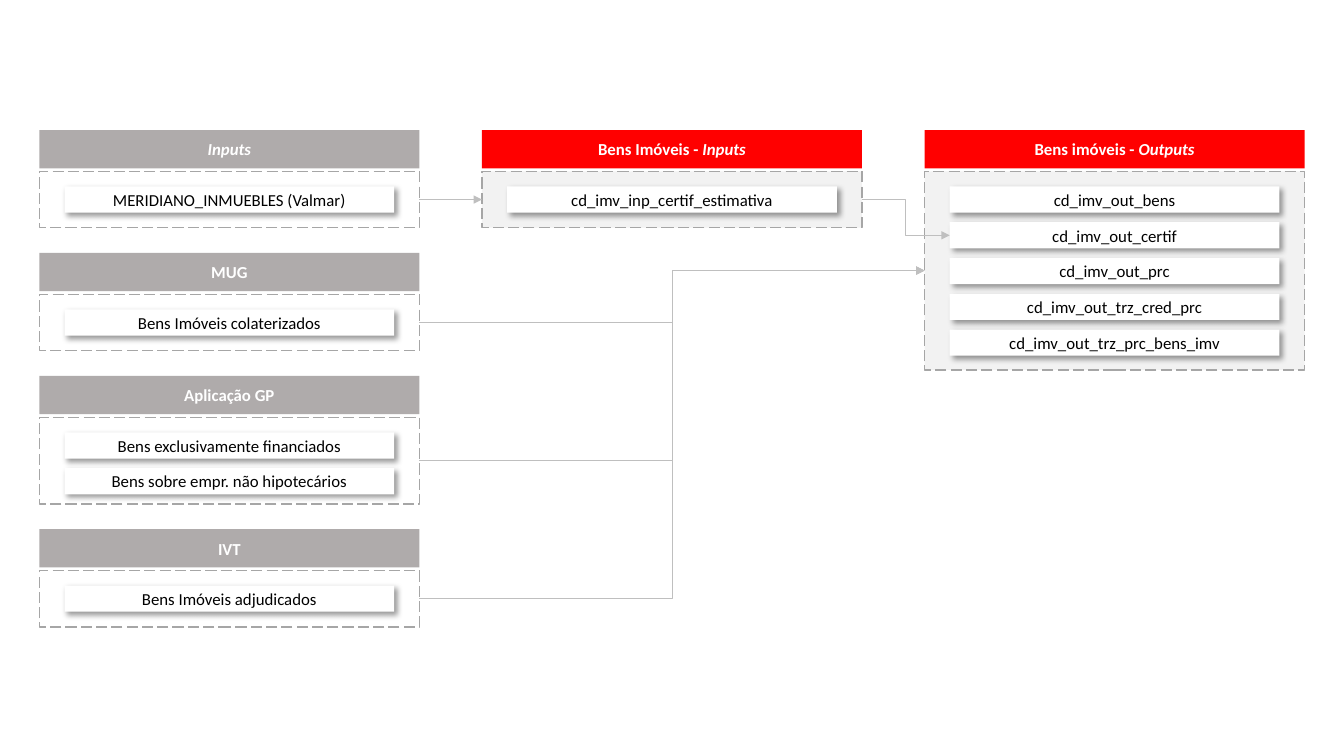
"""Build a one-slide data-flow diagram of real-estate inputs and outputs."""
from dataclasses import dataclass

from lxml import etree
from pptx import Presentation
from pptx.dml.color import RGBColor
from pptx.enum.dml import MSO_LINE
from pptx.enum.shapes import MSO_CONNECTOR, MSO_SHAPE
from pptx.enum.text import MSO_ANCHOR, PP_ALIGN
from pptx.oxml.ns import qn
from pptx.util import Inches, Pt

RECTANGLE = MSO_SHAPE.RECTANGLE
STRAIGHT, ELBOW = MSO_CONNECTOR.STRAIGHT, MSO_CONNECTOR.ELBOW
LONG_DASH = MSO_LINE.LONG_DASH
MIDDLE, CENTER = MSO_ANCHOR.MIDDLE, PP_ALIGN.CENTER
LEFT_SIDE, RIGHT_SIDE = 1, 3


@dataclass(frozen=True)
class Theme:
    font: str = "Calibri"
    size: float = 12
    white: str = "FFFFFF"
    black: str = "000000"
    gray: str = "AFABAB"
    red: str = "FF0000"
    pale: str = "F2F2F2"
    dash: str = "A6A6A6"
    arrow: str = "BFBFBF"
    dash_width: float = 1
    arrow_width: float = 0.5


THEME = Theme()

# Each block: key, title runs as (text, italic), panel height, rows.
COLUMNS = [
    (THEME.gray, THEME.white, [
        ("inputs", [("Inputs", True)], 0.56, ["MERIDIANO_INMUEBLES (Valmar)"]),
        ("mug", [("MUG", False)], 0.56, ["Bens Imóveis colaterizados"]),
        ("gp", [("Aplicação GP", False)], 0.86,
         ["Bens exclusivamente financiados", "Bens sobre empr. não hipotecários"]),
        ("ivt", [("IVT", False)], 0.56, ["Bens Imóveis adjudicados"]),
    ]),
    (THEME.red, THEME.pale, [
        ("estimate", [("Bens Imóveis - ", False), ("Inputs", True)], 0.56,
         ["cd_imv_inp_certif_estimativa"]),
    ]),
    (THEME.red, THEME.pale, [
        ("outputs", [("Bens imóveis - ", False), ("Outputs", True)], 1.97,
         ["cd_imv_out_bens", "cd_imv_out_certif", "cd_imv_out_prc",
          "cd_imv_out_trz_cred_prc", "cd_imv_out_trz_prc_bens_imv"]),
    ]),
]
FLOWS = [
    (STRAIGHT, "inputs", "estimate"),
    (ELBOW, "mug", "outputs"),
    (ELBOW, "gp", "outputs"),
    (ELBOW, "ivt", "outputs"),
    (ELBOW, "estimate", "cd_imv_out_certif"),
]

SLIDE_WIDTH, SLIDE_HEIGHT = 13.33, 7.5
MARGIN, TOP = 0.39, 1.29
COLUMN_PITCH, COLUMN_WIDTH = 4.39, 3.77
HEADER_HEIGHT, PANEL_OFFSET, BLOCK_GAP = 0.38, 0.41, 0.25
ROW_INDENT, ROW_OFFSET, ROW_PITCH, ROW_HEIGHT = 0.25, 0.15, 0.355, 0.26


def add_box(slide, left, top, width, height, fill, runs=(), color=THEME.black, bold=False):
    """Add a flat rectangle with centred text runs."""
    shape = slide.shapes.add_shape(
        RECTANGLE, *(Inches(length) for length in (left, top, width, height)))
    shape.fill.solid()
    shape.fill.fore_color.rgb = RGBColor.from_string(fill)
    shape.line.fill.background()
    shape.shadow.inherit = False
    shape.text_frame.vertical_anchor = MIDDLE
    paragraph = shape.text_frame.paragraphs[0]
    paragraph.alignment = CENTER
    for text, italic in runs:
        run = paragraph.add_run()
        run.text = text
        font = run.font
        font.name, font.size = THEME.font, Pt(THEME.size)
        font.bold, font.italic = bold, italic
        font.color.rgb = RGBColor.from_string(color)
    return shape


def set_line(shape, color, width):
    """Give a shape or connector a solid line."""
    shape.line.color.rgb = RGBColor.from_string(color)
    shape.line.width = Pt(width)


def add_shadow(shape):
    """Cast a soft shadow to the lower right."""
    effects = shape._element.spPr.find(qn("a:effectLst"))
    shadow = etree.SubElement(effects, qn("a:outerShdw"), blurRad=str(Pt(4)),
                              dist=str(Pt(3)), dir="2700000", algn="tl", rotWithShape="0")
    color = etree.SubElement(shadow, qn("a:srgbClr"), val=THEME.black)
    etree.SubElement(color, qn("a:alpha"), val="40000")


def add_block(slide, left, top, header_fill, panel_fill, block, anchors):
    """Draw a header, its dashed panel and rows; return the panel's bottom."""
    key, title, panel_height, rows = block
    panel_top = top + PANEL_OFFSET
    panel = add_box(slide, left, panel_top, COLUMN_WIDTH, panel_height, panel_fill)
    set_line(panel, THEME.dash, THEME.dash_width)
    panel.line.dash_style = LONG_DASH
    anchors[key] = panel
    add_box(slide, left, top, COLUMN_WIDTH, HEADER_HEIGHT, header_fill,
            title, THEME.white, bold=True)
    for index, text in enumerate(rows):
        row = add_box(slide, left + ROW_INDENT, panel_top + ROW_OFFSET + index * ROW_PITCH,
                      COLUMN_WIDTH - 2 * ROW_INDENT, ROW_HEIGHT, THEME.white, [(text, False)])
        add_shadow(row)
        anchors[text] = row
    return panel_top + panel_height


def add_flow(slide, kind, source, target):
    """Join two boxes with an arrow from right side to left side."""
    connector = slide.shapes.add_connector(kind, 0, 0, 0, 0)
    connector.begin_connect(source, RIGHT_SIDE)
    connector.end_connect(target, LEFT_SIDE)
    set_line(connector, THEME.arrow, THEME.arrow_width)
    etree.SubElement(connector.line._get_or_add_ln(), qn("a:tailEnd"), type="triangle")
    etree.SubElement(connector._element.spPr, qn("a:effectLst"))


def main():
    """Compose and save the slide."""
    presentation = Presentation()
    presentation.slide_width = Inches(SLIDE_WIDTH)
    presentation.slide_height = Inches(SLIDE_HEIGHT)
    slide = presentation.slides.add_slide(presentation.slide_layouts[6])
    anchors = {}
    for index, (header_fill, panel_fill, blocks) in enumerate(COLUMNS):
        top = TOP
        for block in blocks:
            bottom = add_block(slide, MARGIN + index * COLUMN_PITCH, top,
                               header_fill, panel_fill, block, anchors)
            top = bottom + BLOCK_GAP
    for kind, source, target in FLOWS:
        add_flow(slide, kind, anchors[source], anchors[target])
    presentation.save("out.pptx")


if __name__ == "__main__":
    main()
